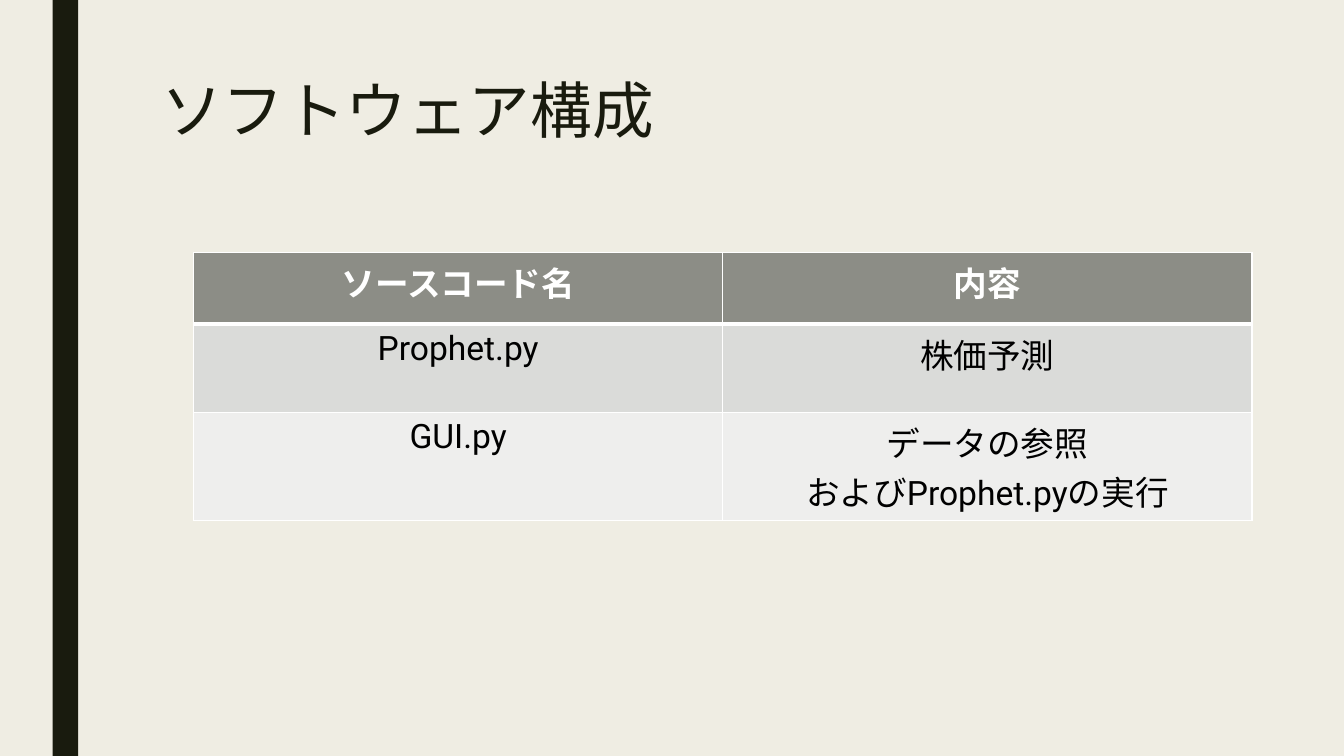
from dataclasses import dataclass

from lxml.etree import SubElement
from pptx import Presentation
from pptx.dml.color import RGBColor
from pptx.enum.shapes import MSO_SHAPE
from pptx.enum.text import MSO_ANCHOR, PP_ALIGN
from pptx.oxml.ns import qn
from pptx.util import Cm, Pt


@dataclass(frozen=True)
class Theme:
    font: str = "Roboto"
    background: str = "EFEDE3"
    dark: str = "191B0E"
    white: str = "FFFFFF"
    black: str = "000000"
    row_fills: tuple = ("8C8D86", "DADBD9", "EEEEED")
    title_size: int = 44
    table_size: int = 24


theme = Theme()


def style_text(paragraph, size, color, bold=False):
    paragraph.font.name = theme.font
    paragraph.font.size = Pt(size)
    paragraph.font.bold = bold
    paragraph.font.color.rgb = RGBColor.from_string(color)


def add_border(cell, side, width):
    """Draw one cell side (L, R, T or B); call before the cell is filled."""
    line = SubElement(cell._tc.get_or_add_tcPr(), qn(f"a:ln{side}"), w=str(Pt(width)))
    SubElement(SubElement(line, qn("a:solidFill")), qn("a:srgbClr"), val=theme.white)


prs = Presentation()
prs.slide_width, prs.slide_height = Cm(33.87), Cm(19.05)
slide = prs.slides.add_slide(prs.slide_layouts[6])
slide.background.fill.solid()
slide.background.fill.fore_color.rgb = RGBColor.from_string(theme.background)

side_bar = slide.shapes.add_shape(MSO_SHAPE.RECTANGLE, Cm(1.33), 0, Cm(0.64), prs.slide_height)
side_bar.shadow.inherit = False
side_bar.fill.solid()
side_bar.fill.fore_color.rgb = RGBColor.from_string(theme.dark)
side_bar.line.fill.background()

title = slide.shapes.add_textbox(Cm(3.81), Cm(1.92), Cm(26.67), Cm(4.11)).text_frame
title.word_wrap = True
title.vertical_anchor = MSO_ANCHOR.TOP
title.text = "ソフトウェア構成"
title.paragraphs[0].line_spacing = 0.89
style_text(title.paragraphs[0], theme.title_size, theme.dark)

source_files = [
    ("ソースコード名", "内容"),
    ("Prophet.py", "株価予測"),
    ("GUI.py", "データの参照\nおよびProphet.pyの実行"),
]
row_heights = [1.8, 2.23, 2.72]
table = slide.shapes.add_table(
    len(source_files), 2, Cm(4.88), Cm(6.37), Cm(26.67), Cm(sum(row_heights))
).table
table.first_row = True
table.horz_banding = False

for row_index, (texts, height) in enumerate(zip(source_files, row_heights)):
    is_header = row_index == 0
    table.rows[row_index].height = Cm(height)
    for cell, text in zip(table.rows[row_index].cells, texts):
        for side in "LRTB":
            header_rule = (row_index, side) in ((0, "B"), (1, "T"))
            add_border(cell, side, 3 if header_rule else 1)
        cell.fill.solid()
        cell.fill.fore_color.rgb = RGBColor.from_string(theme.row_fills[row_index])
        cell.text = text
        for paragraph in cell.text_frame.paragraphs:
            paragraph.alignment = PP_ALIGN.CENTER
            style_text(
                paragraph, theme.table_size, theme.white if is_header else theme.black, is_header
            )

prs.save("out.pptx")
